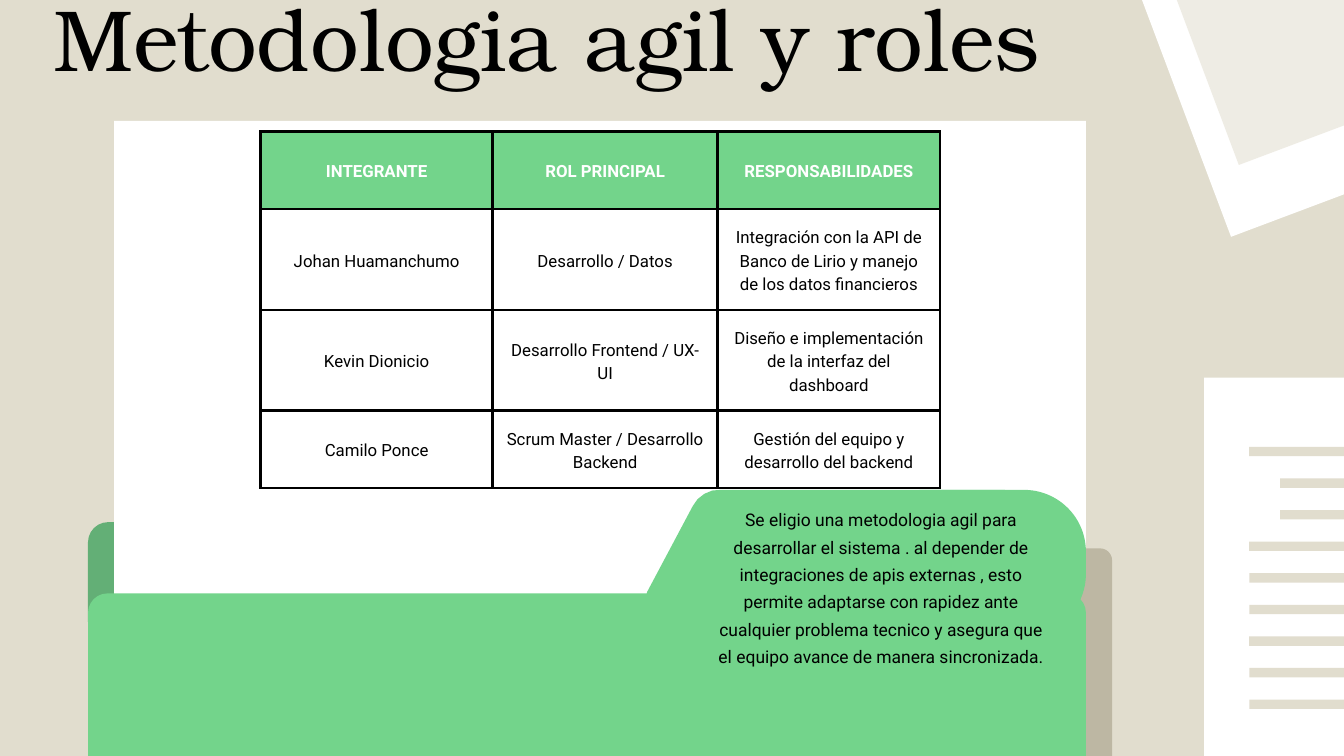
from lxml.etree import SubElement
from pptx import Presentation
from pptx.dml.color import RGBColor
from pptx.enum.shapes import MSO_SHAPE
from pptx.enum.text import MSO_ANCHOR, MSO_AUTO_SIZE, PP_ALIGN
from pptx.oxml import parse_xml
from pptx.oxml.ns import nsdecls, qn
from pptx.util import Inches, Pt

COLORS = {
    "sand": "E1DDCE", "taupe": "BDB7A3", "white": "FFFFFF", "black": "000000",
    "green": "73D48B", "dark green": "63AF76",
}
COLUMNS, ROWS = 20, 11.25  # square grid cells over the whole slide

deck = Presentation()
deck.slide_width, deck.slide_height = Inches(COLUMNS), Inches(ROWS)
CELL = deck.slide_width / COLUMNS
slide = deck.slides.add_slide(deck.slide_layouts[5])
slide.background.fill.solid()
slide.background.fill.fore_color.rgb = RGBColor.from_string(COLORS["sand"])


def add_panel(left, top, width, height, color, radius=0, rotation=0):
    """Plain panel measured in grid cells, with rounded corners if asked."""
    kind = MSO_SHAPE.ROUNDED_RECTANGLE if radius else MSO_SHAPE.RECTANGLE
    panel = slide.shapes.add_shape(
        kind, *(int(n * CELL) for n in (left, top, width, height)))
    if radius:
        panel.adjustments[0] = radius / min(width, height)
    panel.rotation = rotation
    panel.shadow.inherit = False
    panel.fill.solid()
    panel.fill.fore_color.rgb = RGBColor.from_string(COLORS[color])
    panel.line.fill.background()
    return panel


def write(frame, text, font, size, spacing, color="black", bold=False):
    """One centred paragraph."""
    frame.word_wrap = True
    frame.text = text
    paragraph = frame.paragraphs[0]
    paragraph.alignment = PP_ALIGN.CENTER
    paragraph.line_spacing = Pt(spacing)
    paragraph.font.name = font
    paragraph.font.size = Pt(size)
    paragraph.font.bold = bold
    paragraph.font.color.rgb = RGBColor.from_string(COLORS[color])


# Tilted photo card, top right
add_panel(17.21, -2.58, 4.16, 5.55, "white", rotation=339.4)
photo = add_panel(17.84, -0.82, 2.55, 2.92, "sand", rotation=339.4)
photo_color = photo.fill._xPr.find(qn("a:solidFill"))[0]
SubElement(photo_color, qn("a:alpha"), val="54000")

# Folder: back, paper, side, then the front with its tab
add_panel(1.31, 7.77, 3.47, 1.78, "dark green", radius=0.3)
add_panel(1.7, 1.8, 14.46, 8.42, "white")
add_panel(13.22, 8.16, 3.33, 11.35, "taupe", radius=0.18)
add_panel(12.83, 7.29, 3.33, 2.17, "green", radius=0.92)

# Tab corners in hundredths of a cell, as freeform points are whole numbers
tab_outline = [(1031, 753), (1038, 743), (1048, 735), (1060, 730), (1072, 729),
               (1493, 729), (1505, 730), (1517, 735), (1527, 743), (1534, 753),
               (1603, 881), (1605, 890), (1602, 898), (1588, 906),
               (977, 906), (963, 898), (961, 890), (963, 881)]
outline = slide.shapes.build_freeform(*tab_outline[0], scale=CELL / 100)
outline.add_line_segments(tab_outline[1:], close=True)
tab = outline.convert_to_shape()
tab.shadow.inherit = False
tab.fill.solid()
tab.fill.fore_color.rgb = RGBColor.from_string(COLORS["green"])
tab.line.fill.background()

add_panel(1.31, 8.83, 14.85, 15.42, "green", radius=0.29)

# Written page, bottom right
add_panel(17.92, 5.62, 2.08, 5.63, "white")
for line in range(9):
    indent = 0.46 if line in (1, 2) else 0
    length = 1.6 if line % 3 == 0 else 1.91
    add_panel(18.59 + indent, 6.65 + 0.47 * line, length, 0.14, "sand")

# Title
title = slide.shapes.title
title.left, title.top, title.width, title.height = (
    int(n * CELL) for n in (0.41, 0.08, 15.44, 1.33))
write(title.text_frame, "Metodologia agil y roles", "TeX Gyre Bonum", 93, 89.2)

# Team table
team = [
    ("INTEGRANTE", "ROL PRINCIPAL", "RESPONSABILIDADES"),
    ("Johan Huamanchumo", "Desarrollo / Datos",
     "Integración con la API de Banco de Lirio y manejo de los datos financieros"),
    ("Kevin Dionicio", "Desarrollo Frontend / UX-UI",
     "Diseño e implementación de la interfaz del dashboard"),
    ("Camilo Ponce", "Scrum Master / Desarrollo Backend",
     "Gestión del equipo y desarrollo del backend"),
]
team_table = slide.shapes.add_table(
    len(team), len(team[0]), *(int(n * CELL) for n in (3.88, 1.96, 10.11, 5.3))).table
team_table.horz_banding = False
for column, width in zip(team_table.columns, (3.45, 3.35, 3.31)):
    column.width = int(width * CELL)
for row, height in zip(team_table.rows, (1.15, 1.5, 1.5, 1.15)):
    row.height = int(height * CELL)

for r, member in enumerate(team):
    for c, text in enumerate(member):
        cell = team_table.cell(r, c)
        heading = r == 0
        write(cell.text_frame, text, "Roboto", 18, 25.2,
              "white" if heading else "black", bold=heading)
        cell.vertical_anchor = MSO_ANCHOR.MIDDLE
        cell.margin_left = cell.margin_right = int(0.21 * CELL)
        cell.margin_top = cell.margin_bottom = int(0.21 * CELL)
        # Borders come before the fill in the cell properties
        properties = cell._tc.get_or_add_tcPr()
        for side in ("lnL", "lnR", "lnT", "lnB"):
            properties.append(parse_xml(
                f'<a:{side} {nsdecls("a")} w="{Pt(3)}"><a:solidFill>'
                f'<a:srgbClr val="{COLORS["black"]}"/></a:solidFill></a:{side}>'))
        if heading:
            cell.fill.solid()
            cell.fill.fore_color.rgb = RGBColor.from_string(COLORS["green"])
        else:
            cell.fill.background()

# Why this method was chosen, on the folder tab
reason = slide.shapes.add_textbox(*(int(n * CELL) for n in (10.67, 7.48, 4.88, 2.84)))
write(reason.text_frame,
      "Se eligio una metodologia agil para desarrollar el sistema . al depender de "
      "integraciones de apis externas , esto permite adaptarse con rapidez ante "
      "cualquier problema tecnico y asegura que el equipo avance de manera sincronizada.",
      "Roboto", 18.7, 29.4)

for frame in (title.text_frame, reason.text_frame):
    frame.auto_size = MSO_AUTO_SIZE.NONE
    frame.vertical_anchor = MSO_ANCHOR.TOP
    frame.margin_left = frame.margin_right = frame.margin_top = frame.margin_bottom = 0

deck.save("out.pptx")
